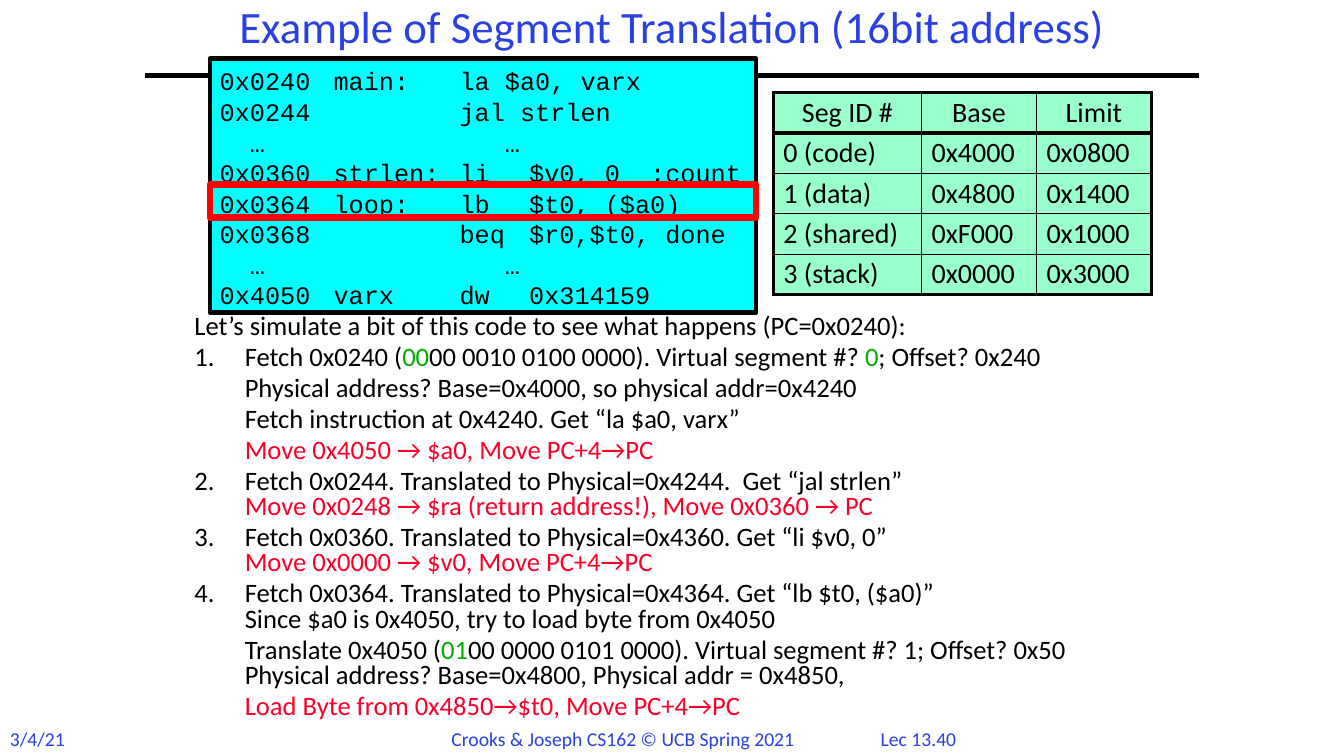
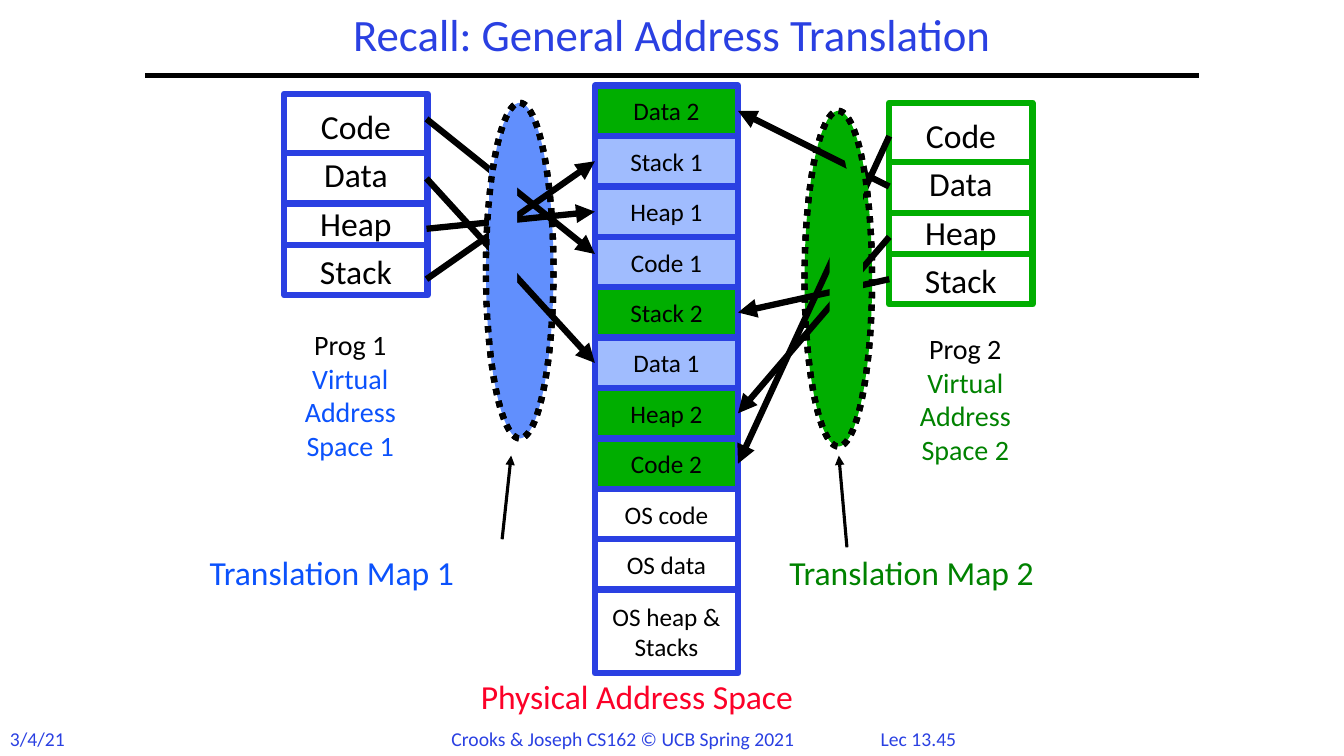
from lxml import etree
from pptx import Presentation
from pptx.dml.color import RGBColor
from pptx.enum.dml import MSO_LINE
from pptx.enum.shapes import MSO_CONNECTOR, MSO_SHAPE
from pptx.enum.text import MSO_ANCHOR, PP_ALIGN
from pptx.oxml.ns import qn
from pptx.util import Inches, Pt

STRAIGHT = MSO_CONNECTOR.STRAIGHT
RECTANGLE, OVAL = MSO_SHAPE.RECTANGLE, MSO_SHAPE.OVAL
TOP, MIDDLE = MSO_ANCHOR.TOP, MSO_ANCHOR.MIDDLE
LEFT, CENTER = PP_ALIGN.LEFT, PP_ALIGN.CENTER
DOTTED = MSO_LINE.ROUND_DOT
LEFT_SIDE, RIGHT_SIDE = 1, 3

BLACK = RGBColor(0x00, 0x00, 0x00)
WHITE = RGBColor(0xFF, 0xFF, 0xFF)
TITLE_BLUE = RGBColor(0x2A, 0x40, 0xE2)
LABEL_BLUE = RGBColor(0x0B, 0x52, 0xFC)
MAP_BLUE = RGBColor(0x61, 0x8F, 0xFD)
PALE_BLUE = RGBColor(0xA0, 0xBC, 0xFE)
GREEN = RGBColor(0x00, 0xAE, 0x00)
DARK_GREEN = RGBColor(0x00, 0x82, 0x00)
MINT = RGBColor(0x99, 0xFF, 0xCC)
CYAN = RGBColor(0x00, 0xFF, 0xFF)
RED = RGBColor(0xFC, 0x01, 0x28)
FRAME_RED = RGBColor(0xFF, 0x00, 0x00)

CODE_LINES = [
    "0x0240\tmain:\tla $a0, varx",
    "0x0244\t\tjal strlen",
    "  …\t\t   …",
    "0x0360\tstrlen:\tli \t$v0, 0  ;count",
    "0x0364\tloop:\tlb \t$t0, ($a0)",
    "0x0368\t\tbeq\t$r0,$t0, done",
    "  …\t\t   …",
    "0x4050\tvarx\tdw\t0x314159",
]
SEGMENTS = [
    ["Seg ID #", "Base", "Limit"],
    ["0 (code)", "0x4000", "0x0800"],
    ["1 (data)", "0x4800", "0x1400"],
    ["2 (shared)", "0xF000", "0x1000"],
    ["3 (stack)", "0x0000", "0x3000"],
]
# Each step: first number of its list (None continues the step above), then its spans.
STEPS = [
    (1, ["Fetch 0x0240 (", ("00", GREEN), "00 0010 0100 0000). Virtual segment #? ",
         ("0", GREEN), "; Offset? 0x240"]),
    (None, ["Physical address? Base=0x4000, so physical addr=0x4240"]),
    (None, ["Fetch instruction at 0x4240. Get “la $a0, varx”"]),
    (None, [("Move 0x4050 → $a0, Move PC+4→PC", RED)]),
    (2, ["Fetch 0x0244. Translated to Physical=0x4244.  Get “jal strlen”", "\n",
         ("Move 0x0248 → $ra (return address!), Move 0x0360 → PC", RED)]),
    (2, ["Fetch 0x0360. Translated to Physical=0x4360. Get “li $v0, 0”", "\n",
         ("Move 0x0000 → $v0, Move PC+4→PC", RED)]),
    (2, ["Fetch 0x0364. Translated to Physical=0x4364. Get “lb $t0, ($a0)”", "\n",
         "Since $a0 is 0x4050, try to load byte from 0x4050"]),
    (None, ["Translate 0x4050 (", ("01", GREEN),
            "00 0000 0101 0000). Virtual segment #? 1; Offset? 0x50", "\n",
            "Physical address? Base=0x4800, Physical addr = 0x4850,"]),
    (None, [("Load Byte from 0x4850→$t0, Move PC+4→PC", RED)]),
]
MEMORY = ["Data 2", "Stack 1", "Heap 1", "Code 1", "Stack 2", "Data 1",
          "Heap 2", "Code 2", "OS code", "OS data", "OS heap &\nStacks"]
OWNER_FILLS = {"1": PALE_BLUE, "2": GREEN}


def add_element(parent, tag, **attributes):
    return etree.SubElement(parent, qn(tag), attributes)


def set_text(paragraph, spans, size, color=BLACK, align=LEFT, spacing=None, font="Calibri"):
    """Fill a paragraph; a span is a string, a (string, colour) pair or a line break."""
    paragraph.alignment = align
    paragraph.line_spacing = spacing
    paragraph.font.size = Pt(size)
    paragraph.font.name = font
    paragraph.font.color.rgb = color
    for span in spans:
        if span == "\n":
            paragraph.add_line_break()
            continue
        text, span_color = (span, None) if isinstance(span, str) else span
        run = paragraph.add_run()
        run.text = text
        if span_color is not None:
            run.font.color.rgb = span_color


def next_paragraph(frame, index):
    return frame.add_paragraph() if index else frame.paragraphs[0]


def set_lines(frame, lines, size, **style):
    for index, line in enumerate(lines):
        set_text(next_paragraph(frame, index), [line], size, **style)


class Deck:
    def __init__(self):
        self.deck = Presentation()
        self.deck.slide_width, self.deck.slide_height = Inches(13.33), Inches(7.5)
        self.shapes = None

    def page(self, title, title_left, title_top, number):
        self.shapes = self.deck.slides.add_slide(self.deck.slide_layouts[6]).shapes
        self.line((1.44, 0.75), (11.89, 0.75), BLACK, 3)
        for left, width, text, align in (
                (8.5, 1.22, f"Lec {number}", CENTER),
                (0, 1, "3/4/21", LEFT),
                (4.38, 3.76, "Crooks & Joseph CS162 © UCB Spring 2021", LEFT)):
            self.text((left, 7.16, width, 0.34), [text], 14, color=TITLE_BLUE, align=align)
        self.text((title_left, title_top, 9.83, 0.58), [title], 32, anchor=MIDDLE,
                  color=TITLE_BLUE, align=CENTER, spacing=0.9)

    def text(self, at, lines, size, anchor=TOP, **style):
        frame = self.shapes.add_textbox(*map(Inches, at)).text_frame
        frame.word_wrap = True
        frame.vertical_anchor = anchor
        set_lines(frame, lines, size, **style)
        return frame

    def shape(self, kind, at, fill=None, line=None, width=4.5, dash=None):
        shape = self.shapes.add_shape(kind, *map(Inches, at))
        shape.shadow.inherit = False
        if fill is None:
            shape.fill.background()
        else:
            shape.fill.solid()
            shape.fill.fore_color.rgb = fill
        if line is None:
            shape.line.fill.background()
        else:
            shape.line.color.rgb = line
            shape.line.width = Pt(width)
            shape.line.dash_style = dash
        return shape

    def line(self, start, end, color, width):
        connector = self.shapes.add_connector(STRAIGHT, *map(Inches, (*start, *end)))
        connector.line.color.rgb = color
        connector.line.width = Pt(width)
        add_element(connector._element.spPr, "a:effectLst")
        return connector

    def arrow(self, start, end, width=4.5, target=None, side=None):
        connector = self.line(start, end, BLACK, width)
        add_element(connector.line._get_or_add_ln(), "a:tailEnd", type="triangle")
        if target is not None:
            connector.end_connect(target, side)

    def steps(self, at, intro, steps, size):
        frame = self.text(at, [intro], size, spacing=0.8)
        for number, spans in steps:
            paragraph = frame.add_paragraph()
            properties = paragraph._p.get_or_add_pPr()
            properties.set("marL", str(Inches(0.5)))
            if number is not None:
                properties.set("indent", str(Inches(-0.5)))
                add_element(properties, "a:buAutoNum", type="arabicPeriod", startAt=str(number))
            paragraph.space_before = Pt(3.8)
            set_text(paragraph, spans, size, spacing=0.8)

    def code(self, at, lines, tabs):
        box = self.shape(RECTANGLE, at, CYAN, BLACK, 3)
        frame = box.text_frame
        frame.vertical_anchor = TOP
        frame.margin_top = Inches(0.07)
        for index, line in enumerate(lines):
            paragraph = next_paragraph(frame, index)
            stops = add_element(paragraph._p.get_or_add_pPr(), "a:tabLst")
            for tab in tabs:
                add_element(stops, "a:tab", pos=str(Inches(tab)), algn="l")
            set_text(paragraph, [line], 18, spacing=Pt(21.8), font="Courier New")

    def table(self, left, top, widths, row_height, rows):
        last_row, last_column = len(rows) - 1, len(widths) - 1
        table = self.shapes.add_table(
            len(rows), len(widths), Inches(left), Inches(top),
            Inches(sum(widths)), Inches(row_height * len(rows))).table
        table.first_row = table.horz_banding = False
        for column, width in zip(table.columns, widths):
            column.width = Inches(width)
        for r, row in enumerate(rows):
            for c, text in enumerate(row):
                cell = table.cell(r, c)
                self.borders(cell, {
                    "a:lnL": 1 if c else 2.25,
                    "a:lnR": 2.25 if c == last_column else 1,
                    "a:lnT": {0: 2.25, 1: 3}.get(r, 1),
                    "a:lnB": {0: 3, last_row: 2.25}.get(r, 1)})
                cell.fill.solid()
                cell.fill.fore_color.rgb = MINT
                set_lines(cell.text_frame, [text], 20, spacing=0.9,
                          align=LEFT if r else CENTER)

    def borders(self, cell, widths):
        properties = cell._tc.get_or_add_tcPr()
        for tag, width in widths.items():
            border = add_element(properties, tag, w=str(Pt(width)))
            fill = add_element(border, "a:solidFill")
            add_element(fill, "a:srgbClr", val=str(BLACK))

    def program(self, left, top, color):
        box = self.shape(RECTANGLE, (left, top, 1.42, 2), WHITE, color)
        set_lines(box.text_frame, ["Code", "Data", "Heap", "Stack"], 24,
                  align=CENTER, spacing=1.2)
        for drop in (0.59, 1.09, 1.5):
            self.line((left, top + drop), (left + 1.42, top + drop), color, 4.5)

    def program_label(self, left, top, number, color):
        lines = [f"Prog {number}"]
        lines += [(text, color) for text in ("Virtual", "Address", f"Space {number}")]
        self.text((left, top, 1.23, 1.45), lines, 20, align=CENTER)

    def memory(self, left, top, names):
        """Stack the memory blocks and return them by name."""
        blocks = {}
        for index, name in enumerate(names):
            lines = name.split("\n")
            height = 0.5 if len(lines) == 1 else 0.83
            block = self.shape(RECTANGLE, (left, top + 0.5 * index, 1.42, height),
                               OWNER_FILLS.get(name[-1], WHITE), TITLE_BLUE)
            set_lines(block.text_frame, lines, 18, align=CENTER)
            blocks[name] = block
        return blocks

    def map_outline(self, at, fill=None):
        self.shape(OVAL, at, fill, BLACK, dash=DOTTED)


def segment_page(deck):
    deck.page("Example of Segment Translation (16bit address)", 1.75, 0, "13.40")
    deck.steps((1.83, 3.08, 10, 3.92),
               "Let’s simulate a bit of this code to see what happens (PC=0x0240):", STEPS, 19)
    deck.code((2.08, 0.58, 5.42, 2.52), CODE_LINES, (1.13, 2.38, 3.07))
    deck.table(7.67, 0.92, (1.47, 1.14, 1.14), 0.4, SEGMENTS)
    deck.shape(RECTANGLE, (2.08, 1.83, 5.42, 0.33), line=FRAME_RED)


def translation_page(deck):
    deck.page("Recall: General Address Translation", 1.75, 0.08, "13.45")
    first_map, second_map = (4.82, 1.02, 0.67, 3.33), (7.98, 1.1, 0.67, 3.33)
    deck.map_outline(second_map, GREEN)
    deck.map_outline(first_map, MAP_BLUE)
    deck.program_label(2.86, 3.2, 1, LABEL_BLUE)
    deck.program_label(8.96, 3.24, 2, DARK_GREEN)
    deck.program(2.82, 0.93, TITLE_BLUE)
    deck.program(8.82, 1.02, GREEN)
    blocks = deck.memory(5.9, 0.85, MEMORY)

    deck.arrow((4.23, 1.18), (5.9, 2.52))
    for name, start in (("Data 1", 1.77), ("Heap 1", 2.27), ("Stack 1", 2.77)):
        deck.arrow((4.23, start), (5.9, start), target=blocks[name], side=LEFT_SIDE)
    for name, start in (("Code 2", 1.35), ("Data 2", 1.85), ("Heap 2", 2.35), ("Stack 2", 2.77)):
        deck.arrow((8.82, start), (7.32, start), target=blocks[name], side=RIGHT_SIDE)

    deck.shape(RECTANGLE, (4.85, 1.67, 0.28, 1.5), MAP_BLUE)
    deck.map_outline(first_map)
    deck.shape(RECTANGLE, (8.23, 1.85, 0.33, 1.58), GREEN)
    deck.shape(RECTANGLE, (8.4, 1.43, 0.17, 0.5), GREEN).rotation = 348.5
    deck.map_outline(second_map)

    for left, top, width, text, color in (
            (1.98, 5.43, 2.89, "Translation Map 1", LABEL_BLUE),
            (7.73, 5.43, 2.89, "Translation Map 2", DARK_GREEN),
            (4.67, 6.66, 3.82, "Physical Address Space", RED)):
        deck.text((left, top, width, 0.5), [text], 24, color=color)
    deck.arrow((4.98, 5.35), (5.07, 4.52), 2.25)
    deck.arrow((8.4, 5.43), (8.32, 4.52), 2.25)


def main():
    deck = Deck()
    segment_page(deck)
    translation_page(deck)
    deck.deck.save("out.pptx")


if __name__ == "__main__":
    main()
